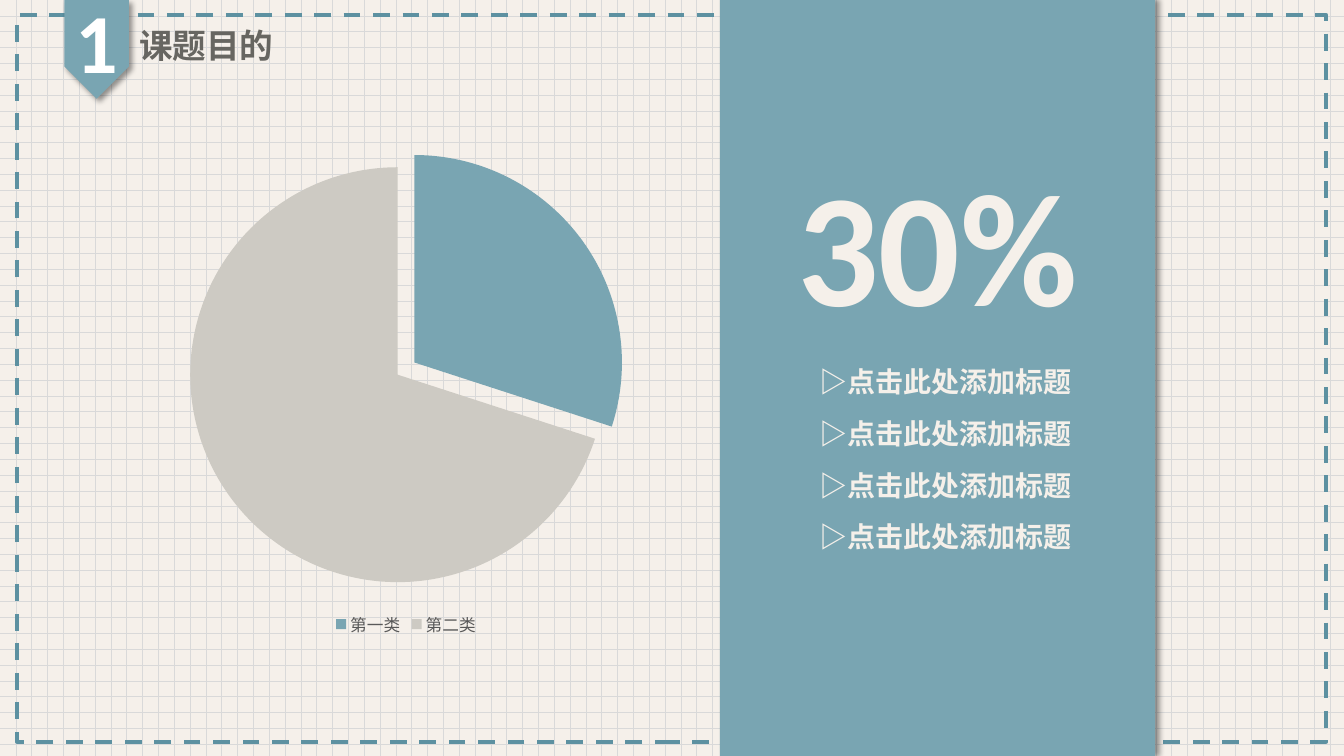
from lxml import etree
from pptx import Presentation
from pptx.chart.data import CategoryChartData
from pptx.dml.color import RGBColor
from pptx.enum.chart import XL_CHART_TYPE as ChartType, XL_LEGEND_POSITION as LegendPosition
from pptx.enum.dml import MSO_LINE, MSO_PATTERN
from pptx.enum.shapes import MSO_SHAPE
from pptx.enum.text import MSO_ANCHOR, MSO_AUTO_SIZE, PP_ALIGN
from pptx.oxml import parse_xml
from pptx.oxml.ns import nsdecls, qn
from pptx.util import Cm, Pt

LATIN, CJK = "Calibri", "Noto Sans CJK SC"
TEAL, FRAME_TEAL, GREY, CREAM = "79A5B2", "5D91A1", "CDCAC3", "F5F0EA"


def rgb(hex_colour):
    return RGBColor.from_string(hex_colour)


def set_font(font, size, colour, latin=LATIN, bold=False):
    font.size, font.bold, font.name = Pt(size), bold, latin
    font.color.rgb = rgb(colour)


def write(shape, text, size, colour, latin=LATIN, align=PP_ALIGN.LEFT):
    """Put one bold, unwrapped line of text into a shape."""
    frame = shape.text_frame
    frame.word_wrap = False
    frame.auto_size = MSO_AUTO_SIZE.SHAPE_TO_FIT_TEXT
    frame.vertical_anchor = MSO_ANCHOR.TOP
    paragraph = frame.paragraphs[0]
    paragraph.alignment = align
    run = paragraph.add_run()
    run.text = text
    set_font(run.font, size, colour, latin, bold=True)
    east_asian = etree.Element(qn("a:ea"), typeface=CJK)
    run.font._element.find(qn("a:latin")).addnext(east_asian)


def add_label(slide, box, text, size, colour, align=PP_ALIGN.LEFT):
    label = slide.shapes.add_textbox(*map(Cm, box))
    write(label, text, size, colour, align=align)


def add_raised_shape(slide, kind, box, fill, shadow_angle):
    """Add a filled shape that casts a soft shadow at the given angle in degrees."""
    shape = slide.shapes.add_shape(kind, *map(Cm, box))
    shape.fill.solid()
    shape.fill.fore_color.rgb = rgb(fill)
    shape.line.fill.background()
    shape._element.spPr.append(parse_xml(
        f'<a:effectLst {nsdecls("a")}><a:outerShdw blurRad="{Pt(4)}" dist="{Pt(3)}" '
        f'dir="{shadow_angle * 60000}" algn="l" rotWithShape="0"><a:srgbClr val="000000">'
        '<a:alpha val="40000"/></a:srgbClr></a:outerShdw></a:effectLst>'))
    return shape


def add_dashed_frame(slide):
    frame = slide.shapes.add_shape(MSO_SHAPE.RECTANGLE, Cm(0.43), Cm(0.38), Cm(32.99), Cm(18.31))
    frame.shadow.inherit = False
    frame.fill.background()
    frame.line.color.rgb = rgb(FRAME_TEAL)
    frame.line.width = Pt(3)
    frame.line.dash_style = MSO_LINE.DASH


def add_share_pie(slide, shares, colours):
    data = CategoryChartData()
    data.categories = list(shares)
    data.add_series("Series 1", list(shares.values()))
    chart = slide.shapes.add_chart(
        ChartType.PIE, Cm(0.71), Cm(3.45), Cm(19.05), Cm(12.7), data).chart
    chart.has_title = False
    set_font(chart.font, 10, "000000")
    chart.has_legend = True
    chart.legend.position = LegendPosition.BOTTOM
    chart.legend.include_in_layout = False
    set_font(chart.legend.font, 11.9, "595959")

    plot = chart.plots[0]
    plot.vary_by_categories = True
    series = plot.series[0]
    for index, colour in enumerate(colours):
        slice_fill = series.points[index].format.fill
        slice_fill.solid()
        slice_fill.fore_color.rgb = rgb(colour)
    explosion = etree.Element(qn("c:explosion"), val="5")
    series._element.find(qn("c:dPt")).addprevious(explosion)


def set_grid_background(slide):
    fill = slide.background.fill
    fill.patterned()
    fill.pattern = MSO_PATTERN.DOTTED_GRID
    fill.fore_color.rgb = rgb("D9D9D9")
    fill.back_color.rgb = rgb(CREAM)


def main():
    deck = Presentation()
    deck.slide_width, deck.slide_height = Cm(33.87), Cm(19.05)
    slide = deck.slides.add_slide(deck.slide_layouts[5])
    set_grid_background(slide)
    add_dashed_frame(slide)

    title = slide.shapes.title
    title.left, title.top, title.width, title.height = map(Cm, (3.25, 0.51, 3.94, 1.27))
    write(title, "课题目的", 24, "676661", latin=CJK)

    section_tag = add_raised_shape(slide, MSO_SHAPE.PENTAGON, (1.19, 0.43, 2.49, 1.63), TEAL, 45)
    section_tag.rotation = 90
    add_label(slide, (1.65, -0.38, 1.6, 2.82), "1", 60, "FFFFFF")

    add_raised_shape(slide, MSO_SHAPE.RECTANGLE, (18.14, 0, 10.97, 19.05), TEAL, 0)
    add_label(slide, (19.8, 3.53, 7.65, 5.2), "30%", 115, CREAM, PP_ALIGN.CENTER)

    add_share_pie(slide, {"第一类": 30, "第二类": 70}, [TEAL, GREY])

    for row in range(4):
        add_label(slide, (20.37, 9.07 + 1.3 * row, 6.93, 1.12),
                  "▷点击此处添加标题", 20, CREAM, PP_ALIGN.CENTER)

    deck.save("out.pptx")


if __name__ == "__main__":
    main()
